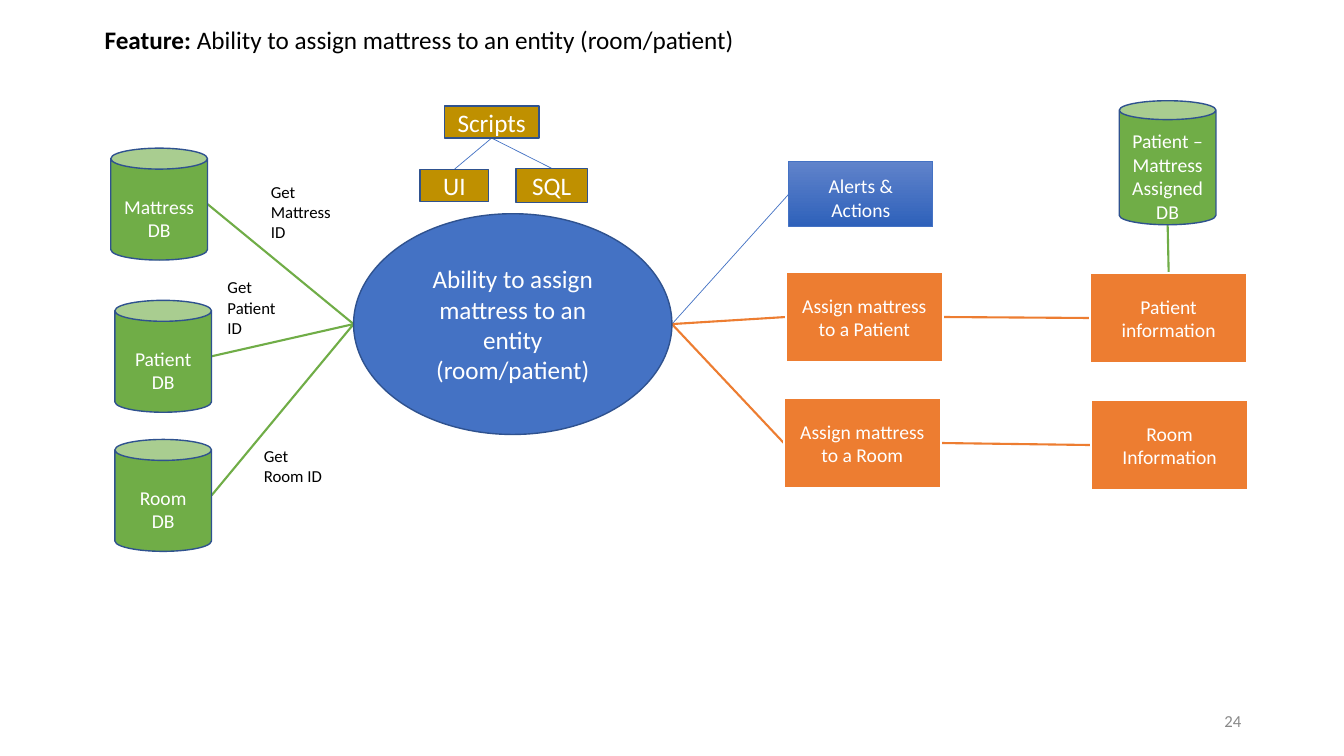
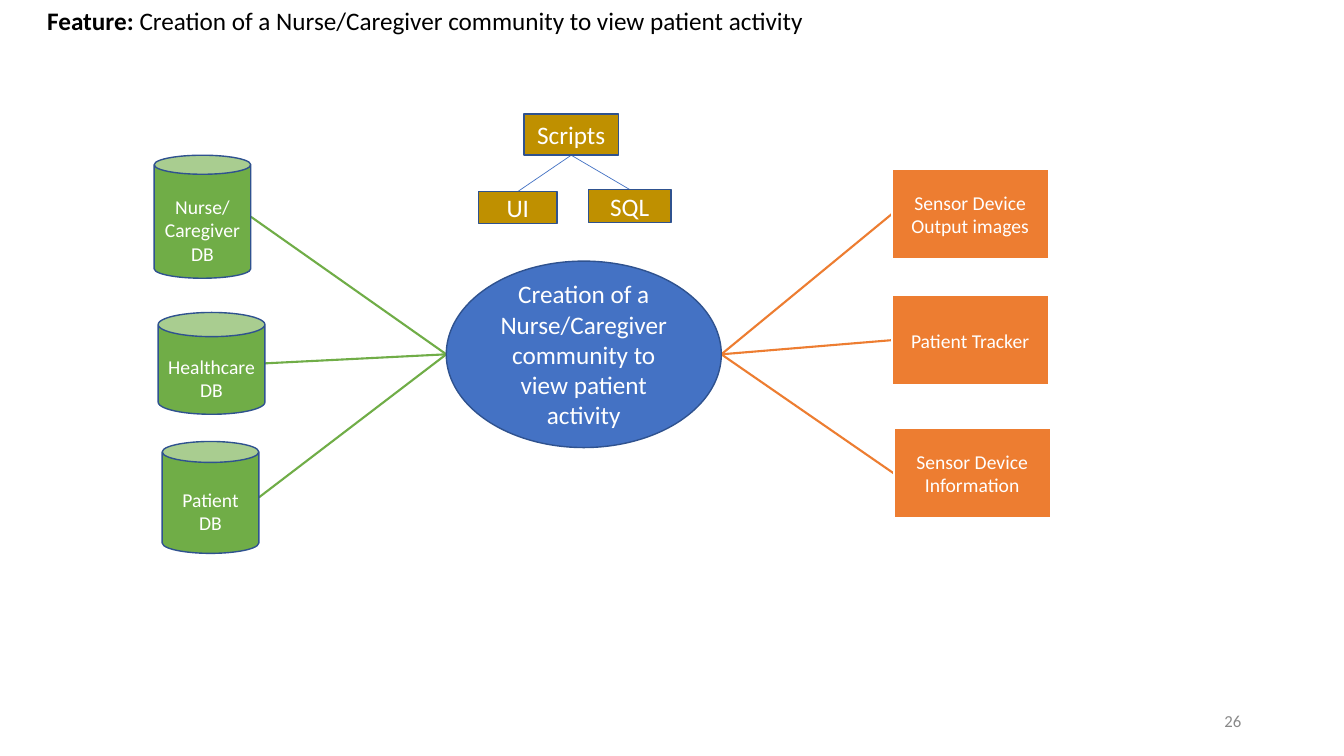
"""Builds two feature diagrams that share one visual style."""
from lxml.etree import SubElement
from pptx import Presentation
from pptx.dml.color import RGBColor
from pptx.enum.shapes import MSO_CONNECTOR, MSO_SHAPE
from pptx.enum.text import MSO_ANCHOR, PP_ALIGN
from pptx.oxml.ns import qn
from pptx.util import Pt

PX = 9144
FONT = "Calibri"
WHITE = RGBColor(0xFF, 0xFF, 0xFF)
BLACK = RGBColor(0x00, 0x00, 0x00)
GRAY = RGBColor(0x89, 0x89, 0x89)
BLUE = RGBColor(0x44, 0x72, 0xC4)
NAVY = RGBColor(0x2F, 0x52, 0x8F)
GREEN = RGBColor(0x70, 0xAD, 0x47)
ORANGE = RGBColor(0xED, 0x7D, 0x31)
GOLD = RGBColor(0xBF, 0x90, 0x00)
ALERT_TOP = RGBColor(0x60, 0x83, 0xCB)
ALERT_BOTTOM = RGBColor(0x2E, 0x61, 0xBA)

PAGE_SIZE = (1334, 750)
NUMBER_BOX = (942, 695, 300, 40)
CAN_SIZE = (96, 111)
OUTPUT_SIZE = (156, 89)
CAN_LID = 24

STYLES = {
    "feature": dict(form=MSO_SHAPE.OVAL, fills=[BLUE], line=NAVY, weight=1, size=18, inset=5),
    "script": dict(form=MSO_SHAPE.RECTANGLE, fills=[GOLD], line=NAVY, weight=1, size=18, inset=5),
    "database": dict(form=MSO_SHAPE.CAN, fills=[GREEN], line=NAVY, weight=1, size=14, inset=22),
    "output": dict(form=MSO_SHAPE.RECTANGLE, fills=[ORANGE], line=WHITE, weight=1.5, size=14, inset=5),
    "alert": dict(form=MSO_SHAPE.RECTANGLE, fills=[ALERT_TOP, ALERT_BOTTOM], line=BLUE, weight=0.5,
                  size=14, inset=12),
}
LINKS = {"input": (GREEN, 1.5), "output": (ORANGE, 1.5), "thin": (BLUE, 0.5)}
SIDES = {"top": (0.5, 0), "left": (0, 0.5), "bottom": (0.5, 1), "right": (1, 0.5)}

SCRIPT_LINKS = [
    ("thin", "scripts", "bottom", "ui", "top"),
    ("thin", "scripts", "bottom", "sql", "top"),
]

SLIDES = [
    {
        "title": "Ability to assign mattress to an entity (room/patient)",
        "title_box": (94, 19, 647, 40),
        "number": "24",
        "nodes": {
            "feature": ("feature", "Ability to assign mattress to an entity (room/patient)", (351, 212, 316, 219)),
            "scripts": ("script", "Scripts", (441, 105, 94, 32)),
            "ui": ("script", "UI", (417, 168, 68, 32)),
            "sql": ("script", "SQL", (512, 167, 71, 34)),
            "mattress": ("database", "Mattress DB", (110, 147, *CAN_SIZE)),
            "patient": ("database", "Patient DB", (114, 298, *CAN_SIZE)),
            "room": ("database", "Room\vDB", (114, 436, *CAN_SIZE)),
            "assigned": ("database", "Patient – Mattress Assigned DB", (1111, 100, 96, 123)),
            "alerts": ("alert", "Alerts & Actions", (783, 160, 143, 65)),
            "to_patient": ("output", "Assign mattress to a Patient", (780, 270, *OUTPUT_SIZE)),
            "to_room": ("output", "Assign mattress to a Room", (778, 395, *OUTPUT_SIZE)),
            "patient_info": ("output", "Patient information", (1082, 271, *OUTPUT_SIZE)),
            "room_info": ("output", "Room Information", (1083, 397, *OUTPUT_SIZE)),
        },
        "links": [
            ("input", "mattress", "right", "feature", "left"),
            ("input", "patient", "right", "feature", "left"),
            ("input", "room", "right", "feature", "left"),
            ("thin", "feature", "right", "alerts", "left"),
            ("output", "feature", "right", "to_patient", "left"),
            ("output", "feature", "right", "to_room", "left"),
            ("output", "to_patient", "right", "patient_info", "left"),
            ("output", "to_room", "right", "room_info", "left"),
            ("input", "assigned", "bottom", "patient_info", "top"),
        ],
        "labels": [
            ("Get Mattress ID", (259, 175, 84, 70)),
            ("Get Patient ID", (216, 270, 84, 70)),
            ("Get Room ID", (252, 437, 84, 50)),
        ],
    },
    {
        "title": "Creation of a Nurse/Caregiver community to view patient activity",
        "title_box": (37, 0, 1248, 40),
        "number": "26",
        "nodes": {
            "feature": ("feature", "Creation of a Nurse/Caregiver community to view patient activity",
                        (443, 259, 273, 185)),
            "scripts": ("script", "Scripts", (520, 113, 94, 41)),
            "ui": ("script", "UI", (475, 190, 78, 32)),
            "sql": ("script", "SQL", (584, 188, 82, 33)),
            "nurse": ("database", "Nurse/Caregiver DB", (153, 154, 96, 122)),
            "healthcare": ("database", "Healthcare DB", (157, 310, 106, 101)),
            "patient": ("database", "Patient DB", (161, 438, *CAN_SIZE)),
            "images": ("output", "Sensor Device Output images", (885, 168, *OUTPUT_SIZE)),
            "tracker": ("output", "Patient Tracker", (885, 293, *OUTPUT_SIZE)),
            "information": ("output", "Sensor Device Information", (887, 425, *OUTPUT_SIZE)),
        },
        "links": [
            ("input", "nurse", "right", "feature", "left"),
            ("input", "healthcare", "right", "feature", "left"),
            ("input", "patient", "right", "feature", "left"),
            ("output", "feature", "right", "images", "left"),
            ("output", "feature", "right", "tracker", "left"),
            ("output", "feature", "right", "information", "left"),
        ],
        "labels": [],
    },
]


def emu(lengths):
    return [round(length * PX) for length in lengths]


def write(box, text, size=12, color=BLACK, align=PP_ALIGN.LEFT, anchor=MSO_ANCHOR.TOP, inset=5, lead=""):
    frame = box.text_frame
    frame.word_wrap = True
    frame.vertical_anchor = anchor
    frame.margin_left, frame.margin_top, frame.margin_right, frame.margin_bottom = emu((10, inset, 10, 5))
    para = frame.paragraphs[0]
    para.alignment = align
    if lead:
        para.add_run().text = lead
        para.add_run().text = text
        para.runs[0].font.bold = True
    else:
        para.text = text
    for span in para.runs:
        span.font.name = FONT
        span.font.size = Pt(size)
        span.font.color.rgb = color


def add_text(page, text, area, **text_format):
    write(page.shapes.add_textbox(*emu(area)), text, **text_format)


def add_node(page, style_name, text, area):
    style = STYLES[style_name]
    box = page.shapes.add_shape(style["form"], *emu(area))
    box.shadow.inherit = False
    if style["form"] == MSO_SHAPE.CAN:
        box.adjustments[0] = CAN_LID / min(area[2:]) * min(1, area[2] / area[3])
    fills = style["fills"]
    if len(fills) == 1:
        box.fill.solid()
        box.fill.fore_color.rgb = fills[0]
    else:
        box.fill.gradient()
        box.fill.gradient_angle = 270
        for stop, color in zip(box.fill.gradient_stops, fills):
            stop.color.rgb = color
    box.line.color.rgb = style["line"]
    box.line.width = Pt(style["weight"])
    write(box, text, size=style["size"], color=WHITE, align=PP_ALIGN.CENTER,
          anchor=MSO_ANCHOR.MIDDLE, inset=style["inset"])


def side_point(area, side):
    left, top, width, height = area
    across, down = SIDES[side]
    return left + across * width, top + down * height


def add_link(page, nodes, link_name, start, start_side, end, end_side):
    points = side_point(nodes[start][2], start_side) + side_point(nodes[end][2], end_side)
    link = page.shapes.add_connector(MSO_CONNECTOR.STRAIGHT, *emu(points))
    color, weight = LINKS[link_name]
    link.line.color.rgb = color
    link.line.width = Pt(weight)
    SubElement(link._element.spPr, qn("a:effectLst"))


def add_page(deck, content):
    page = deck.slides.add_slide(deck.slide_layouts[6])
    for link in SCRIPT_LINKS + content["links"]:
        add_link(page, content["nodes"], *link)
    for node in content["nodes"].values():
        add_node(page, *node)
    for text, area in content["labels"]:
        add_text(page, text, area)
    add_text(page, content["title"], content["title_box"], size=18, lead="Feature: ")
    add_text(page, content["number"], NUMBER_BOX, color=GRAY, align=PP_ALIGN.RIGHT, anchor=MSO_ANCHOR.MIDDLE)


def main():
    deck = Presentation()
    deck.slide_width, deck.slide_height = emu(PAGE_SIZE)
    for content in SLIDES:
        add_page(deck, content)
    deck.save("out.pptx")


if __name__ == "__main__":
    main()
